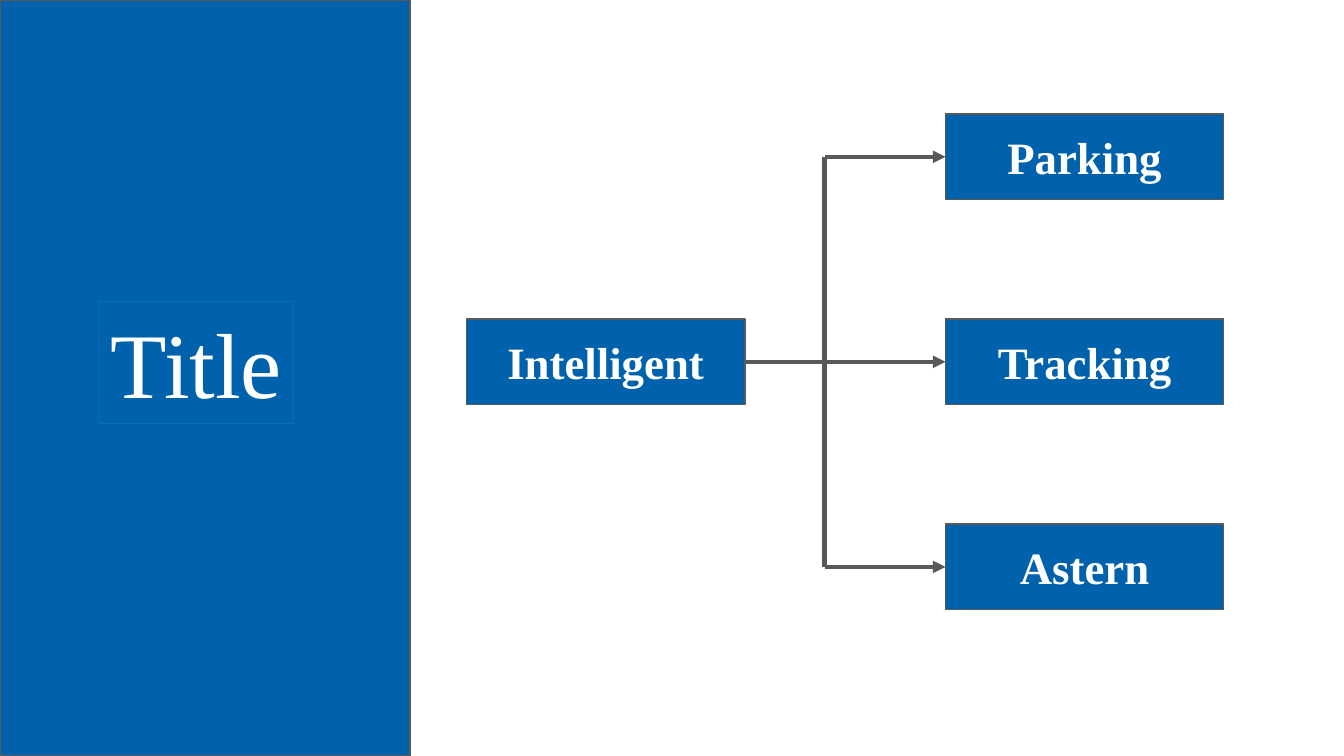
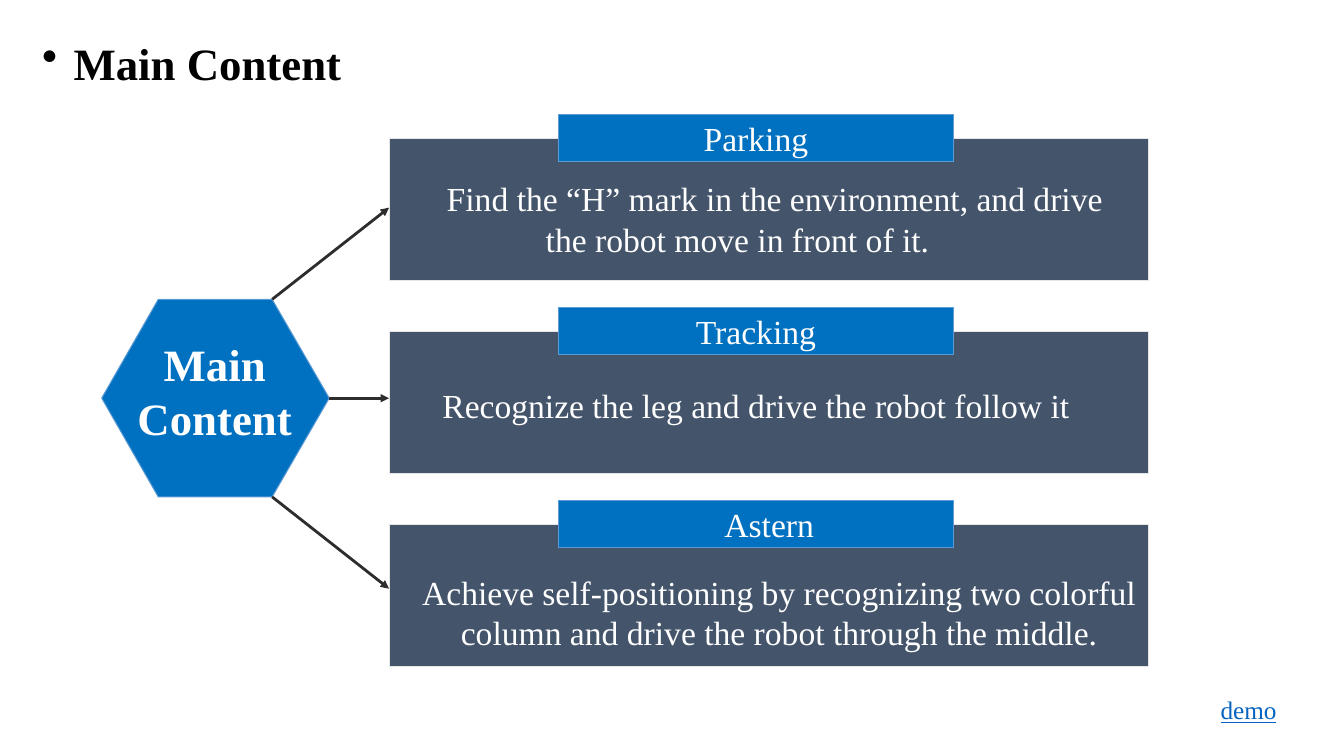
from lxml.etree import SubElement
from pptx import Presentation
from pptx.dml.color import RGBColor
from pptx.enum.shapes import MSO_CONNECTOR, MSO_SHAPE
from pptx.enum.text import MSO_ANCHOR, MSO_AUTO_SIZE, PP_ALIGN
from pptx.oxml.ns import qn
from pptx.util import Inches, Pt

COLORS = {
    "panel": "0062AC", "edge": "595959", "faint": "106CB2",
    "accent": "0070C0", "accent_edge": "5B9BD5",
    "slate": "44546A", "slate_edge": "E7E6E6",
    "arrow": "2E2C2C", "white": "FFFFFF", "black": "000000", "link": "0563C1",
}
FONT = "Times New Roman"


class Deck:
    """Places elements on a grid of 100 columns by 100 rows."""

    def __init__(self):
        self.prs = Presentation()
        self.prs.slide_width, self.prs.slide_height = Inches(13.33), Inches(7.5)
        self.slide = None

    def new_slide(self):
        self.slide = self.prs.slides.add_slide(self.prs.slide_layouts[6])

    def x(self, columns):
        return round(self.prs.slide_width * columns / 100)

    def y(self, rows):
        return round(self.prs.slide_height * rows / 100)

    def area(self, left, top, width, height):
        return self.x(left), self.y(top), self.x(width), self.y(height)

    def color(self, name):
        return RGBColor.from_string(COLORS[name])

    def paint(self, shape, fill, edge, weight):
        shape.shadow.inherit = False
        if fill:
            shape.fill.solid()
            shape.fill.fore_color.rgb = self.color(fill)
        else:
            shape.fill.background()
        shape.line.color.rgb = self.color(edge)
        shape.line.width = Pt(weight)

    def label(self, shape, words, size, color="white", bold=False,
              align=PP_ALIGN.CENTER, anchor=MSO_ANCHOR.TOP, wrap=True):
        frame = shape.text_frame
        frame.word_wrap = wrap
        frame.vertical_anchor = anchor
        paragraph = frame.paragraphs[0]
        paragraph.text = words
        paragraph.alignment = align
        font = paragraph.font
        font.name, font.size, font.bold = FONT, Pt(size), bold
        font.color.rgb = self.color(color)
        return paragraph

    def rect(self, area, fill, edge, weight=0):
        shape = self.slide.shapes.add_shape(MSO_SHAPE.RECTANGLE, *self.area(*area))
        self.paint(shape, fill, edge, weight)
        return shape

    def node(self, left, top, words):
        box = self.rect((left, top, NODE_W, NODE_H), "panel", "edge", 1)
        self.label(box, words, 32, bold=True, anchor=MSO_ANCHOR.MIDDLE)

    def polygon(self, points, fill, edge):
        first, *rest = [(self.x(px), self.y(py)) for px, py in points]
        builder = self.slide.shapes.build_freeform(*first)
        builder.add_line_segments(rest, close=True)
        self.paint(builder.convert_to_shape(), fill, edge, 0)

    def text(self, area, words, size, **style):
        box = self.slide.shapes.add_textbox(*self.area(*area))
        box.text_frame.auto_size = MSO_AUTO_SIZE.SHAPE_TO_FIT_TEXT
        return self.label(box, words, size, **style)

    def indent(self, paragraph, columns):
        paragraph._p.get_or_add_pPr().set("indent", str(self.x(columns)))

    def bullet(self, paragraph, columns):
        self.indent(paragraph, -columns)
        properties = paragraph._p.get_or_add_pPr()
        properties.set("marL", str(self.x(columns)))
        mark = properties.makeelement(qn("a:buChar"), {"char": "•"})
        properties.insert_element_before(mark, "a:tabLst", "a:defRPr", "a:extLst")

    def line(self, start, end, color, weight, arrow=True):
        connector = self.slide.shapes.add_connector(
            MSO_CONNECTOR.STRAIGHT, self.x(start[0]), self.y(start[1]),
            self.x(end[0]), self.y(end[1]))
        connector.line.color.rgb = self.color(color)
        connector.line.width = Pt(weight)
        if arrow:
            SubElement(connector.line._get_or_add_ln(), qn("a:tailEnd"), type="triangle")
        SubElement(connector._element.spPr, qn("a:effectLst"))


deck = Deck()

# Slide 1: title panel
deck.new_slide()
deck.rect((0, 0, 30.52, 100), "panel", "edge", 1)
title = deck.rect((7.42, 39.87, 14.4, 16.13), None, "faint", 0.75)
deck.label(title, "Title", 66, wrap=False)

# Slide 1: tree of functions
NODE_W, NODE_H, NODE_STEP = 20.7, 11.33, 27.13
ROOT_X, BRANCH_X, TRUNK_X, FIRST_Y = 34.72, 70.35, 61.35, 15.07
branch_tops = [FIRST_Y + NODE_STEP * i for i in range(3)]
upper, middle, lower = [top + NODE_H / 2 for top in branch_tops]
for branch, top in zip(("Parking", "Tracking", "Astern"), branch_tops):
    deck.node(BRANCH_X, top, branch)
deck.node(ROOT_X, branch_tops[1], "Intelligent")
deck.line((TRUNK_X, upper), (TRUNK_X, lower), "edge", 3, arrow=False)
for start_x, level in ((ROOT_X + NODE_W, middle), (TRUNK_X, lower), (TRUNK_X, upper)):
    deck.line((start_x, level), (BRANCH_X, level), "edge", 3)

# Slide 2: heading
deck.new_slide()
heading = deck.text((2.4, 4, 25.65, 8.53), "Main Content", 32,
                    color="black", bold=True, align=PP_ALIGN.LEFT)
deck.bullet(heading, 2.33)

# Slide 2: hexagon hub and its arrows
HUB_TOP, HUB_MID, HUB_BOTTOM = 39.6, 52.67, 65.73
HUB_LEFT, HUB_RIGHT, CORNER_LEFT, CORNER_RIGHT = 7.57, 24.5, 11.78, 20.25
CARD_X, CARD_W, CARD_H, CARD_Y, CARD_STEP = 28.95, 56.48, 18.8, 18.27, 25.53
deck.polygon([(CORNER_RIGHT, HUB_TOP), (HUB_RIGHT, HUB_MID), (CORNER_RIGHT, HUB_BOTTOM),
              (CORNER_LEFT, HUB_BOTTOM), (HUB_LEFT, HUB_MID), (CORNER_LEFT, HUB_TOP)],
             "accent", "accent_edge")
deck.text((9.08, 43.87, 13.8, 15.73), "Main Content", 32, bold=True)
for start, target_y in (((CORNER_RIGHT, HUB_TOP), 27.47),
                        ((HUB_RIGHT, HUB_MID), HUB_MID),
                        ((CORNER_RIGHT, HUB_BOTTOM), 77.87)):
    deck.line(start, (CARD_X, target_y), "arrow", 0)

# Slide 2: cards as heading, heading left, body area, first-line indent, body
cards = [
    ("Parking", 43.5, (25.88, 22.93, 57.98, 12.13), 5.55,
     "Find the “H” mark in the environment, and drive the robot move in front of it."),
    ("Tracking", 43.5, (28.8, 50.27, 54.9, 6.67), 0,
     "Recognize the leg and drive the robot follow it"),
    ("Astern", 44.48, (30.52, 74.93, 54.9, 12.13), 0,
     "Achieve self-positioning by recognizing two colorful column "
     "and drive the robot through the middle."),
]
for i, (function, function_x, body_area, first_indent, body) in enumerate(cards):
    top = CARD_Y + CARD_STEP * i
    deck.rect((CARD_X, top, CARD_W, CARD_H), "slate", "slate_edge")
    deck.rect((41.55, top - 3.07, 29.4, 6.13), "accent", "accent_edge")
    deck.text((function_x, top - 3.3, 25.5, 6.67), function, 24)
    deck.indent(deck.text(body_area, body, 24), first_indent)

# Slide 2: demo mark
demo = deck.text((90.08, 91.2, 7.35, 5.33), "demo", 18, color="link", align=PP_ALIGN.LEFT)
demo.font.underline = True

deck.prs.save("out.pptx")
